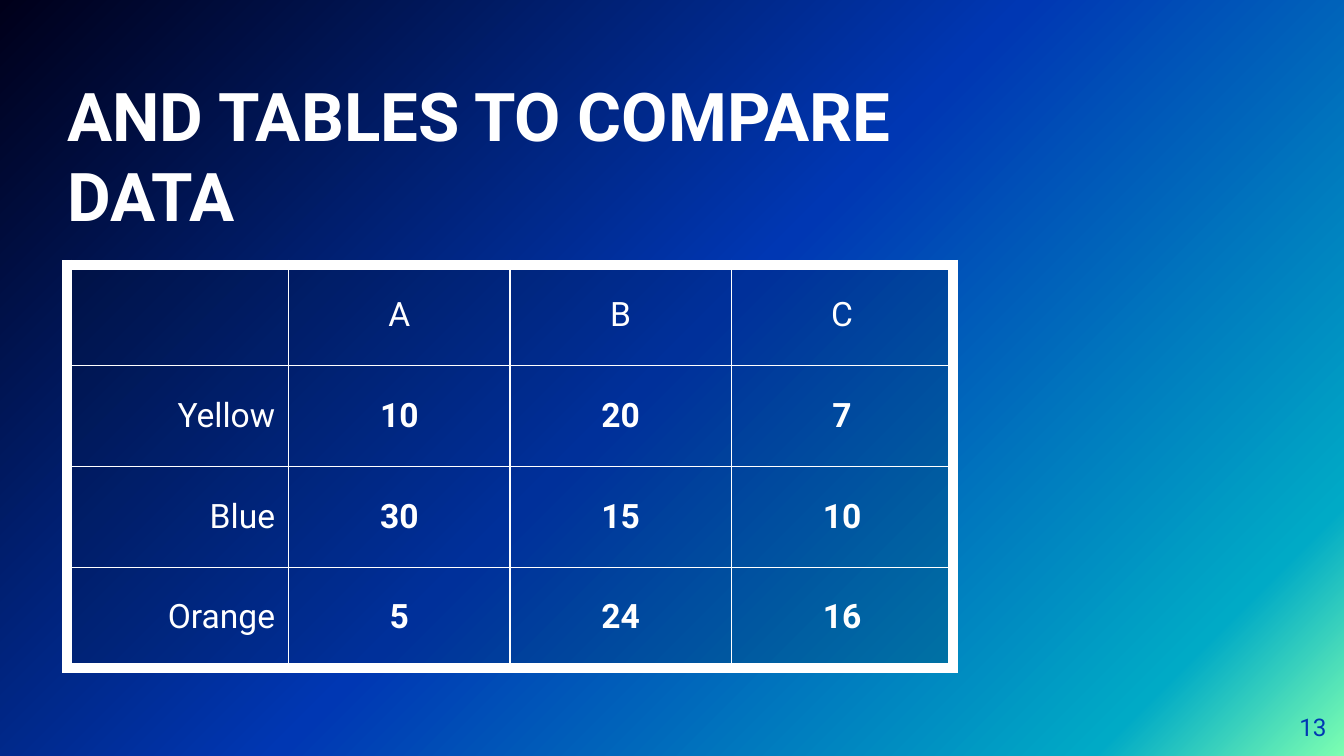
import pptx
import pptx.dml.color
import pptx.enum.text
import pptx.oxml.ns
import pptx.util
from lxml import etree

Inches = pptx.util.Inches
qn = pptx.oxml.ns.qn
ALIGN = pptx.enum.text.PP_ALIGN
ANCHOR = pptx.enum.text.MSO_ANCHOR

# Content
TITLE = "AND TABLES TO COMPARE DATA"
PAGE_NUMBER = "13"
ROWS = [
    ["", "A", "B", "C"],
    ["Yellow", "10", "20", "7"],
    ["Blue", "30", "15", "10"],
    ["Orange", "5", "24", "16"],
]

THEME = {
    "font": "Roboto",
    "white": "FFFFFF",
    "blue": "0037B3",
    "cell": "001230",
    "cell_opacity": 19,
    "gradient": [(0, "7DFFB1"), (12, "00AAC6"), (51, "0037B3"), (100, "00001A")],
    "title_size": 36,
    "table_size": 18,
    "number_size": 13,
    "frame_width": 6,
    "grid_width": 0.75,
}
PAGE_WIDTH = Inches(10)
PAGE_HEIGHT = PAGE_WIDTH * 9 // 16
TABLE_WIDTH, ROW_HEIGHT = 6.59, 0.75


def write_text(frame, text, size, color="white", bold=False, align=ALIGN.LEFT):
    para = frame.paragraphs[0]
    para.alignment = align
    span = para.add_run()
    span.text = text
    span.font.name = THEME["font"]
    span.font.size = pptx.util.Pt(THEME[size])
    span.font.bold = bold
    span.font.color.rgb = pptx.dml.color.RGBColor.from_string(THEME[color])


def add_text_box(page, place, anchor, text, **style):
    box = page.shapes.add_textbox(*[Inches(value) for value in place])
    frame = box.text_frame
    frame.word_wrap = True
    frame.vertical_anchor = anchor
    frame.margin_left = frame.margin_right = 0
    frame.margin_top = frame.margin_bottom = 0
    write_text(frame, text, **style)


def add_color(parent, color):
    return etree.SubElement(parent, qn("a:srgbClr"), val=color)


def paint_background(page):
    fill = page.background.fill
    fill.gradient()
    fill.gradient_angle = 135
    stops = page.element.find(".//" + qn("a:gsLst"))
    for stop in list(stops):
        stops.remove(stop)
    for position, color in THEME["gradient"]:
        add_color(etree.SubElement(stops, qn("a:gs"), pos=str(position * 1000)), color)


def style_cell(cell, outer_sides):
    properties = cell._tc.get_or_add_tcPr()
    for side in "LRTB":
        width = THEME["frame_width" if side in outer_sides else "grid_width"]
        line = etree.SubElement(properties, qn("a:ln" + side), w=str(pptx.util.Pt(width)))
        add_color(etree.SubElement(line, qn("a:solidFill")), THEME["white"])
    cell.fill.solid()
    cell.fill.fore_color.rgb = pptx.dml.color.RGBColor.from_string(THEME["cell"])
    color = properties.find(qn("a:solidFill")).find(qn("a:srgbClr"))
    etree.SubElement(color, qn("a:alpha"), val=str(THEME["cell_opacity"] * 1000))
    cell.vertical_anchor = ANCHOR.MIDDLE
    cell.margin_left = cell.margin_right = Inches(0.1)
    cell.margin_top = cell.margin_bottom = Inches(0.07)


def add_data_table(page, left, top):
    row_count, column_count = len(ROWS), len(ROWS[0])
    table = page.shapes.add_table(
        row_count, column_count, Inches(left), Inches(top),
        Inches(TABLE_WIDTH), Inches(ROW_HEIGHT * row_count)).table
    table.first_row = table.horz_banding = False
    for r, row in enumerate(ROWS):
        for c, text in enumerate(row):
            cell = table.cell(r, c)
            edges = {"L": c == 0, "R": c == column_count - 1,
                     "T": r == 0, "B": r == row_count - 1}
            style_cell(cell, [side for side, outer in edges.items() if outer])
            if text:
                write_text(cell.text_frame, text, "table_size", bold=r > 0 and c > 0,
                           align=ALIGN.CENTER if c else ALIGN.RIGHT)


def main():
    deck = pptx.Presentation()
    deck.slide_width, deck.slide_height = PAGE_WIDTH, PAGE_HEIGHT
    page = deck.slides.add_slide(deck.slide_layouts[6])
    paint_background(page)

    # Title, table and page number
    add_text_box(page, (0.5, 0.81, 6.59, 0.94), ANCHOR.BOTTOM, TITLE,
                 size="title_size", bold=True)
    add_data_table(page, 0.5, 1.97)
    add_text_box(page, (9.27, 5.19, 0.6, 0.43), ANCHOR.MIDDLE, PAGE_NUMBER,
                 size="number_size", color="blue", align=ALIGN.RIGHT)
    deck.save("out.pptx")


if __name__ == "__main__":
    main()
